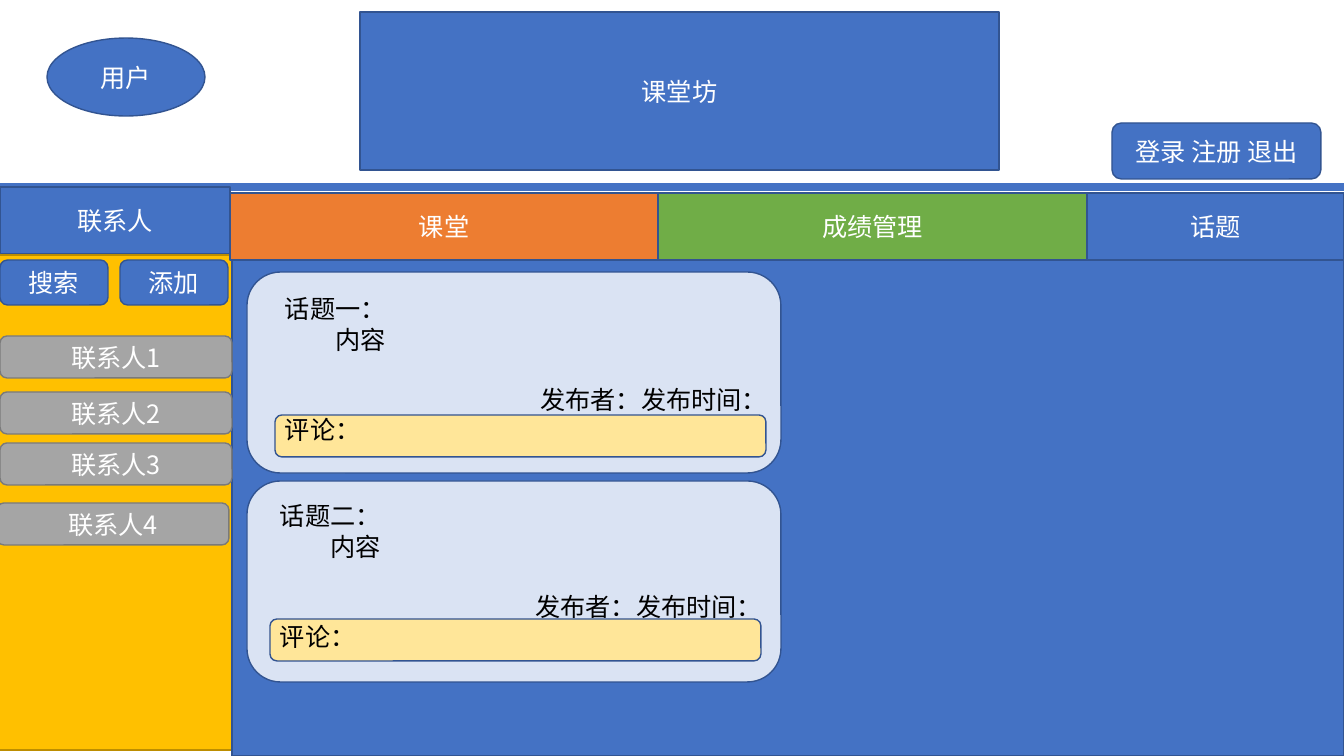
"""Build the wireframe slide of a classroom site with its contacts, tabs and topic cards."""
from dataclasses import dataclass

from lxml import etree
from pptx import Presentation
from pptx.dml.color import RGBColor
from pptx.enum.shapes import MSO_CONNECTOR, MSO_SHAPE
from pptx.enum.text import MSO_ANCHOR, MSO_AUTO_SIZE, PP_ALIGN
from pptx.oxml.ns import qn
from pptx.shapes.autoshape import Shape
from pptx.slide import Slide
from pptx.util import Emu, Pt

RECTANGLE = MSO_SHAPE.RECTANGLE
ROUNDED = MSO_SHAPE.ROUNDED_RECTANGLE
OVAL = MSO_SHAPE.OVAL
STRAIGHT = MSO_CONNECTOR.STRAIGHT
MIDDLE = MSO_ANCHOR.MIDDLE
NO_AUTOSIZE = MSO_AUTO_SIZE.NONE
LEFT, CENTER, RIGHT = PP_ALIGN.LEFT, PP_ALIGN.CENTER, PP_ALIGN.RIGHT

SLIDE_WIDTH, SLIDE_HEIGHT = 1344, 756
EMU_PER_PX = 12192000 / SLIDE_WIDTH
TITLE_ONLY_LAYOUT = 5
FONT = "Noto Sans CJK SC"
TEXT_SIZE = Pt(18)
CARD_LINE = Pt(21.5)

BLUE, NAVY = "4472C4", "325491"
ORANGE, GREEN = "ED7D31", "70AD47"
AMBER, BROWN = "FFC000", "BD8E00"
GRAY, DARK_GRAY = "A5A5A5", "7A7A7A"
PALE_BLUE, PALE_YELLOW = "DAE3F3", "FFE699"
WHITE, BLACK = "FFFFFF", "000000"


@dataclass(frozen=True)
class Box:
    """A filled shape, in px, with an optional centred label."""

    left: int
    top: int
    width: int
    height: int
    label: str = ""
    fill: str = BLUE
    line: str = NAVY
    kind: MSO_SHAPE = RECTANGLE


@dataclass(frozen=True)
class Topic:
    """A topic card with the places of its text and its comment bar."""

    heading: str
    card_top: int
    text_left: int
    text_top: int
    comment_top: int


TITLE = Box(360, 12, 639, 158, "课堂坊")
USER = Box(47, 38, 158, 78, "用户", kind=OVAL)
FRAME = (
    Box(1112, 123, 209, 56, "登录 注册 退出", kind=ROUNDED),
    Box(0, 187, 230, 67, "联系人"),
    Box(-2, 255, 235, 495, fill=AMBER, line=BROWN),
    Box(230, 193, 428, 67, "课堂", ORANGE),
    Box(658, 193, 429, 67, "成绩管理", GREEN),
    Box(1087, 193, 257, 67, "话题"),
    Box(0, 260, 108, 45, "搜索", kind=ROUNDED),
    Box(120, 260, 108, 45, "添加", kind=ROUNDED),
    Box(232, 260, 1112, 496),
)
TOPICS = (
    Topic("话题一：", 272, 275, 289, 415),
    Topic("话题二：", 481, 270, 496, 619),
)
CONTACT_CORNERS = ((0, 336), (0, 392), (0, 443), (-3, 503))


def px(length: int) -> Emu:
    """Turn px into EMU."""
    return Emu(round(length * EMU_PER_PX))


def color(value: str) -> RGBColor:
    """Turn a hex string into a colour."""
    return RGBColor.from_string(value)


def add_run(paragraph, text: str, text_color: str) -> None:
    """Add one run in the slide's font."""
    run = paragraph.add_run()
    run.text = text
    run.font.size = TEXT_SIZE
    run.font.name = FONT
    run.font.color.rgb = color(text_color)
    etree.SubElement(run.font._element, qn("a:ea"), typeface=FONT)


def format_box(shape: Shape, box: Box) -> None:
    """Fill and outline a shape and write its label."""
    shape.fill.solid()
    shape.fill.fore_color.rgb = color(box.fill)
    shape.line.color.rgb = color(box.line)
    shape.line.width = Pt(1)
    shape.shadow.inherit = False
    if box.label:
        frame = shape.text_frame
        frame.word_wrap = True
        frame.auto_size = NO_AUTOSIZE
        frame.vertical_anchor = MIDDLE
        paragraph = frame.paragraphs[0]
        paragraph.alignment = CENTER
        add_run(paragraph, box.label, WHITE)


def add_box(slide: Slide, box: Box) -> None:
    """Draw one box."""
    shape = slide.shapes.add_shape(
        box.kind, px(box.left), px(box.top), px(box.width), px(box.height)
    )
    format_box(shape, box)


def place_title(slide: Slide, box: Box) -> None:
    """Turn the title placeholder into the rounded banner."""
    title = slide.shapes.title
    title.left, title.top = px(box.left), px(box.top)
    title.width, title.height = px(box.width), px(box.height)
    geometry = etree.SubElement(title.element.spPr, qn("a:prstGeom"), prst="roundRect")
    etree.SubElement(geometry, qn("a:avLst"))
    format_box(title, box)


def add_divider(slide: Slide, top: int) -> None:
    """Draw the thick line under the header."""
    divider = slide.shapes.add_connector(STRAIGHT, px(0), px(top), px(SLIDE_WIDTH), px(top))
    divider.line.color.rgb = color(BLUE)
    divider.line.width = Pt(6)
    etree.SubElement(divider.element.spPr, qn("a:effectLst"))


def add_topic(slide: Slide, topic: Topic) -> None:
    """Draw a topic card with its comment bar and text."""
    add_box(slide, Box(247, topic.card_top, 534, 201, fill=PALE_BLUE, kind=ROUNDED))
    add_box(
        slide,
        Box(topic.text_left, topic.comment_top, 491, 42, fill=PALE_YELLOW, kind=ROUNDED),
    )
    textbox = slide.shapes.add_textbox(
        px(topic.text_left), px(topic.text_top), px(502), px(163)
    )
    frame = textbox.text_frame
    frame.word_wrap = True
    lines = (
        (topic.heading, LEFT, Pt(0)),
        ("\t内容", LEFT, Pt(0)),
        ("发布者：发布时间：", RIGHT, CARD_LINE),
        ("评论：", LEFT, Pt(0)),
    )
    for index, (text, alignment, space_before) in enumerate(lines):
        paragraph = frame.add_paragraph() if index else frame.paragraphs[0]
        paragraph.alignment = alignment
        paragraph.line_spacing = CARD_LINE
        paragraph.space_before = space_before
        add_run(paragraph, text, BLACK)


def main() -> None:
    """Build and save the slide."""
    presentation = Presentation()
    presentation.slide_width = px(SLIDE_WIDTH)
    presentation.slide_height = px(SLIDE_HEIGHT)
    slide = presentation.slides.add_slide(presentation.slide_layouts[TITLE_ONLY_LAYOUT])
    place_title(slide, TITLE)
    add_box(slide, USER)
    add_divider(slide, 187)
    for box in FRAME:
        add_box(slide, box)
    for topic in TOPICS:
        add_topic(slide, topic)
    for number, (left, top) in enumerate(CONTACT_CORNERS, start=1):
        add_box(slide, Box(left, top, 232, 42, f"联系人{number}", GRAY, DARK_GRAY, ROUNDED))
    presentation.save("out.pptx")


if __name__ == "__main__":
    main()
